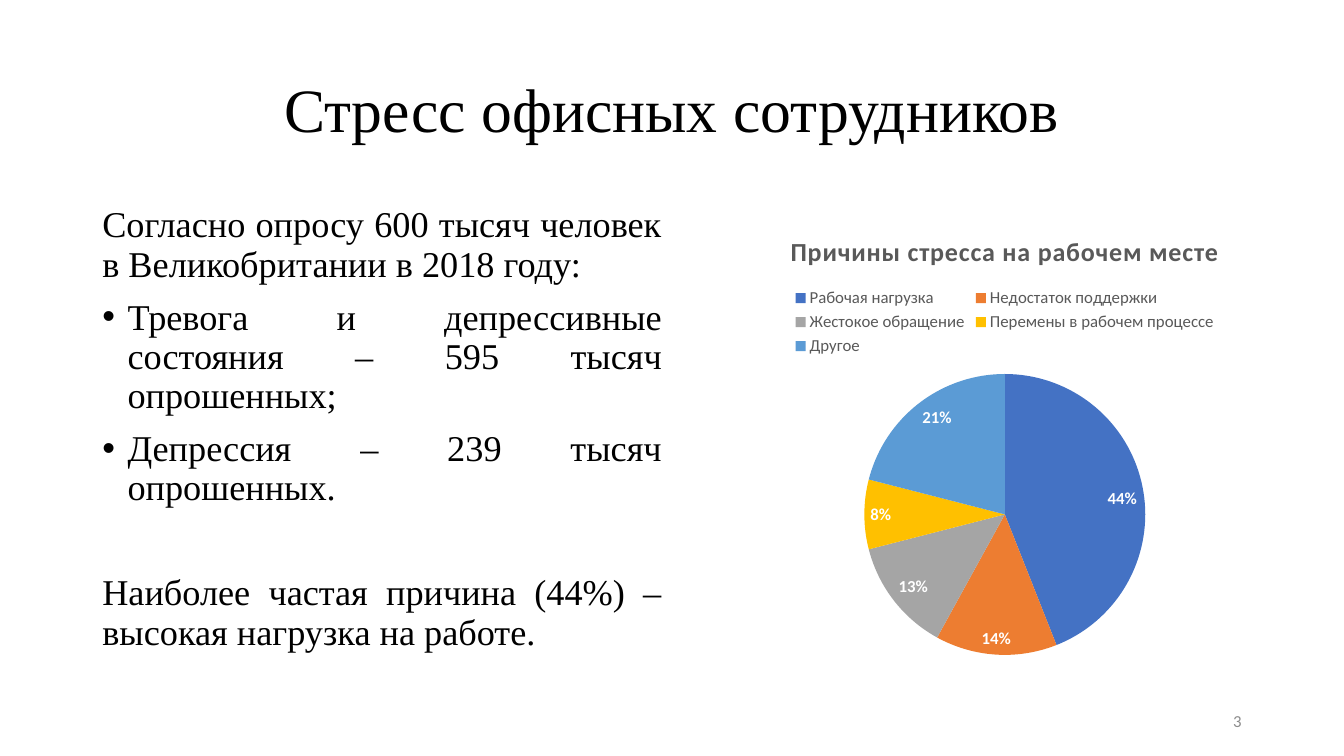
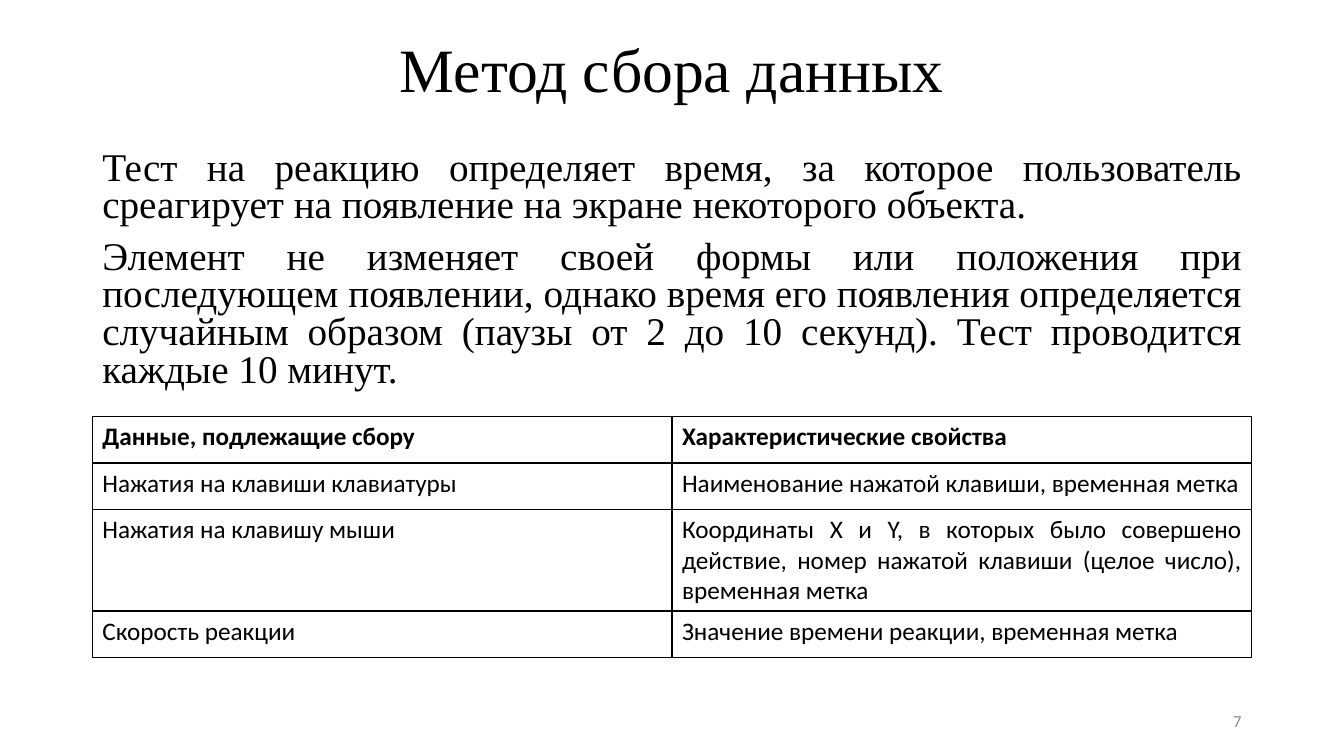
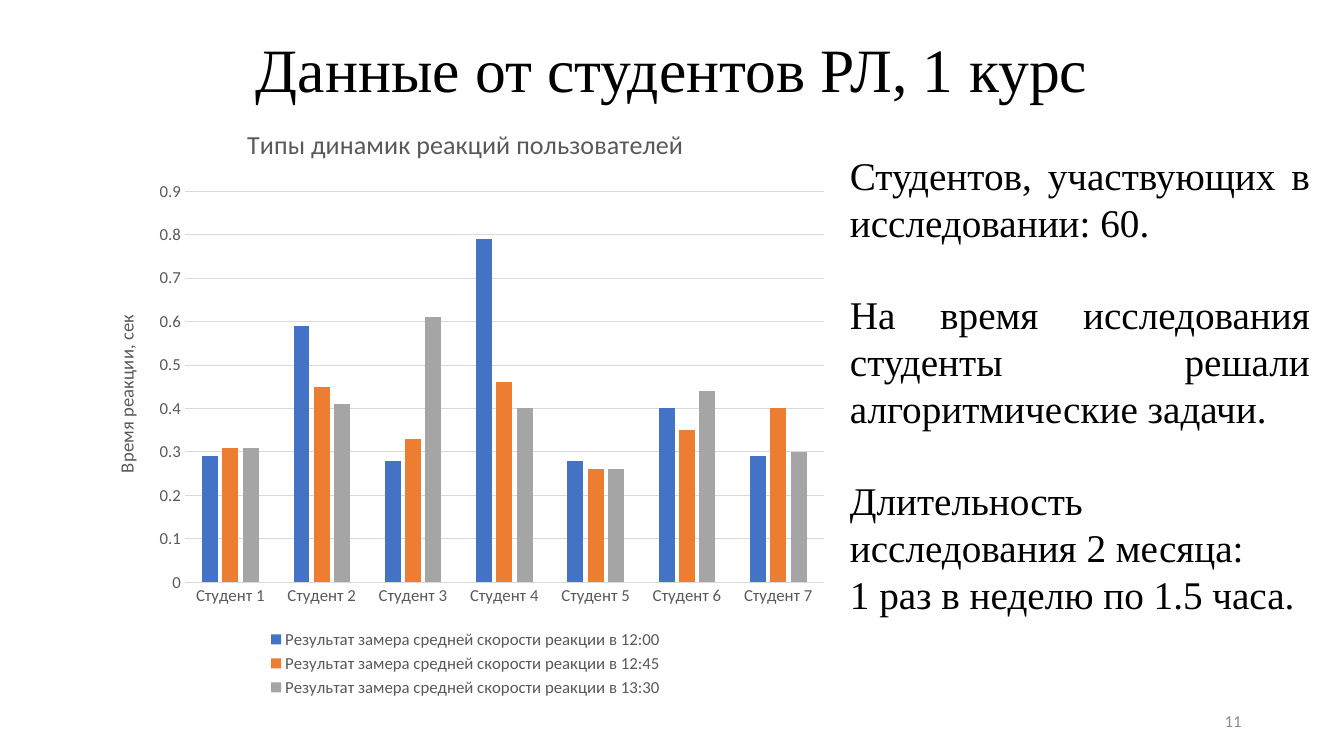
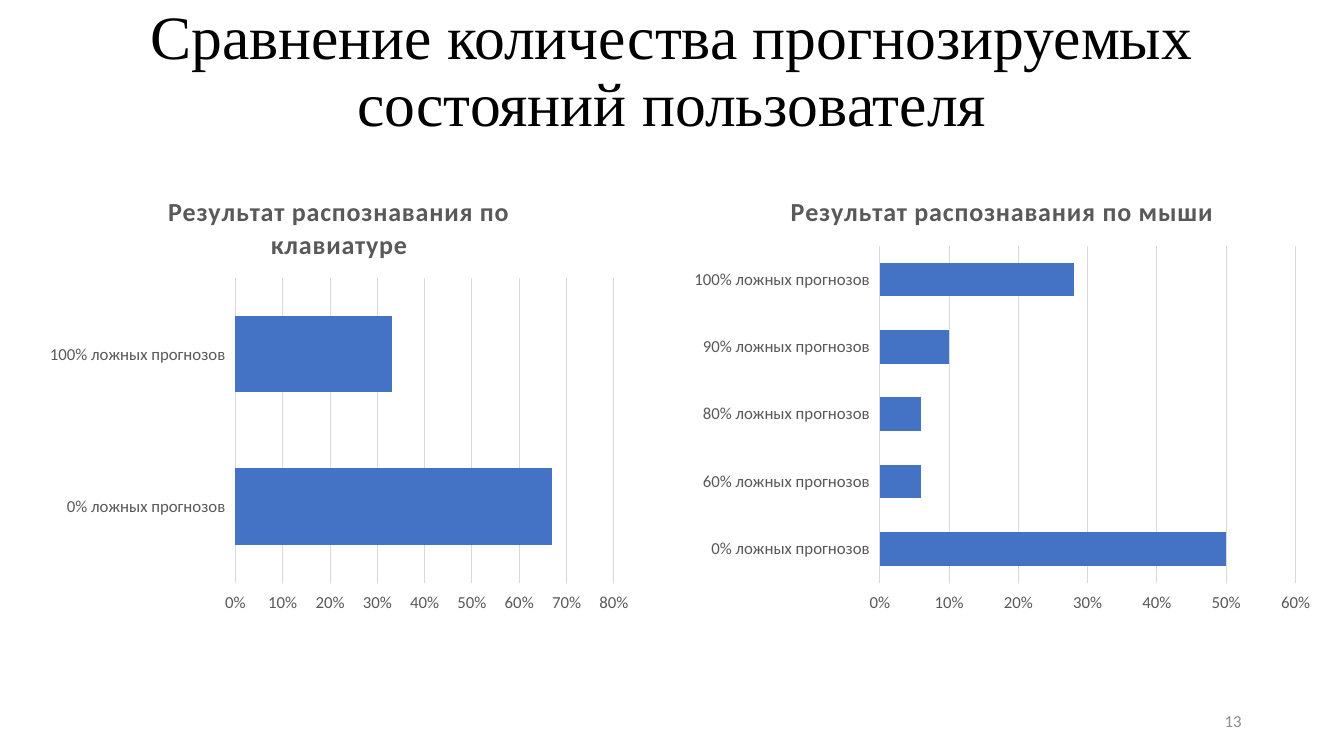
import pptx
import pptx.chart.data
import pptx.dml.color
import pptx.enum.chart
import pptx.enum.text
import pptx.oxml.ns
import pptx.util
from lxml import etree

RGBColor = pptx.dml.color.RGBColor
BLACK = RGBColor(0, 0, 0)
WHITE = RGBColor(255, 255, 255)
GREY = RGBColor(0x59, 0x59, 0x59)
NUMBER_GREY = RGBColor(0x8C, 0x8C, 0x8C)
GRID = RGBColor(0xD9, 0xD9, 0xD9)
BLUE = RGBColor(0x44, 0x72, 0xC4)
ORANGE = RGBColor(0xED, 0x7D, 0x31)
SILVER = RGBColor(0xA5, 0xA5, 0xA5)
YELLOW = RGBColor(0xFF, 0xC0, 0x00)
SKY = RGBColor(0x5B, 0x9B, 0xD5)
ACCENTS = [BLUE, ORANGE, SILVER, YELLOW, SKY]

SERIF = "Times New Roman"
SANS = "Calibri"
LABEL_SIZE = 12
CHART_TITLE_SIZE = 18.62
AXIS_TITLE_SIZE = 13.3
LEFT, WIDTH = 88, 1104

ALIGN = pptx.enum.text.PP_ALIGN
ANCHOR = pptx.enum.text.MSO_ANCHOR
CHART = pptx.enum.chart.XL_CHART_TYPE
LEGEND = pptx.enum.chart.XL_LEGEND_POSITION
TICK = pptx.enum.chart.XL_TICK_MARK
qn = pptx.oxml.ns.qn


def px(n):
    return pptx.util.Emu(n * 9525)


def pxs(box):
    return [px(n) for n in box]


def style_font(font, size, color, name=SANS, bold=False):
    font.name = name
    font.size = pptx.util.Pt(size)
    font.bold = bold
    font.color.rgb = color


def add_bullet(p, indent):
    pPr = p._p.get_or_add_pPr()
    pPr.set("marL", str(px(indent)))
    pPr.set("indent", str(-px(indent)))
    etree.SubElement(pPr, qn("a:buFont")).set("typeface", "Arial")
    etree.SubElement(pPr, qn("a:buChar")).set("char", "•")


def add_text(slide, box, paragraphs, size, color=BLACK, name=SERIF,
             align=ALIGN.JUSTIFY, anchor=ANCHOR.TOP, spacing=1.0, before=0,
             bullets=(), gaps=None):
    tf = slide.shapes.add_textbox(*pxs(box)).text_frame
    tf.word_wrap = True
    tf.vertical_anchor = anchor
    for i, text in enumerate(paragraphs):
        p = tf.paragraphs[0] if i == 0 else tf.add_paragraph()
        p.text = text
        p.alignment = align
        p.line_spacing = spacing
        p.space_before = pptx.util.Pt((gaps or {}).get(i, before))
        if i in bullets:
            add_bullet(p, 24)
        style_font(p.runs[0].font, size, color, name)


def add_page(prs, title, number, title_top=0):
    slide = prs.slides.add_slide(prs.slide_layouts[6])
    add_text(slide, (LEFT, title_top, WIDTH, 139), [title], 44,
             align=ALIGN.CENTER, anchor=ANCHOR.MIDDLE, spacing=0.9)
    add_text(slide, (904, 667, 288, 38), [str(number)], LABEL_SIZE, NUMBER_GREY, SANS,
             align=ALIGN.RIGHT, anchor=ANCHOR.MIDDLE)
    return slide


def set_title(title, text, size, bold=False):
    tf = title.text_frame
    tf.text = text
    r = tf.paragraphs[0].runs[0]
    style_font(r.font, size, GREY, bold=bold)
    if bold:
        r.font._element.set("spc", "50")


def add_chart(slide, box, kind, title, categories, series, bold_title=True,
              number_format="General", legend=None):
    data = pptx.chart.data.CategoryChartData(number_format=number_format)
    data.categories = categories
    for name, values in series:
        data.add_series(name, values)
    chart = slide.shapes.add_chart(kind, *pxs(box), data).chart
    style_font(chart.font, 10, BLACK)
    set_title(chart.chart_title, title, CHART_TITLE_SIZE, bold_title)
    chart.has_legend = legend is not None
    if legend is not None:
        chart.legend.position = legend
        chart.legend.include_in_layout = False
        style_font(chart.legend.font, LABEL_SIZE, GREY)
    return chart


def add_pie(slide, box, title, categories, values):
    chart = add_chart(slide, box, CHART.PIE, title, categories,
                      [("Series 1", values)], legend=LEGEND.TOP)
    plot = chart.plots[0]
    plot.vary_by_categories = True
    for i, color in enumerate(ACCENTS):
        fill = plot.series[0].points[i].format.fill
        fill.solid()
        fill.fore_color.rgb = color
    plot.has_data_labels = True
    labels = plot.data_labels
    labels.show_percentage = True
    labels.show_value = False
    labels.number_format = "0%"
    labels.number_format_is_linked = False
    labels.position = pptx.enum.chart.XL_LABEL_POSITION.INSIDE_END
    style_font(labels.font, LABEL_SIZE, WHITE, bold=True)


def add_bars(slide, box, kind, title, categories, series, gap, overlap=0,
             tick=TICK.OUTSIDE, axis_line=False, number_format="0%", **options):
    chart = add_chart(slide, box, kind, title, categories, series,
                      number_format=number_format, **options)
    plot = chart.plots[0]
    plot.vary_by_categories = False
    plot.gap_width = gap
    plot.overlap = overlap
    for ser, color in zip(plot.series, ACCENTS):
        ser.format.fill.solid()
        ser.format.fill.fore_color.rgb = color
        ser.invert_if_negative = False
    for axis in (chart.category_axis, chart.value_axis):
        axis.major_tick_mark = tick
        axis.minor_tick_mark = TICK.NONE
        axis.format.line.fill.background()
        style_font(axis.tick_labels.font, LABEL_SIZE, GREY)
    lines = [chart.value_axis.major_gridlines.format.line]
    if axis_line:
        lines.append(chart.category_axis.format.line)
    for line in lines:
        line.color.rgb = GRID
        line.width = pptx.util.Pt(0.75)
    chart.value_axis.tick_labels.number_format = number_format
    chart.value_axis.tick_labels.number_format_is_linked = False
    return chart


def set_borders(cell, widths):
    tcPr = cell._tc.get_or_add_tcPr()
    for i, (side, width) in enumerate(widths.items()):
        ln = etree.Element(qn("a:" + side), w=str(pptx.util.Pt(width)))
        fill = etree.SubElement(ln, qn("a:solidFill"))
        etree.SubElement(fill, qn("a:srgbClr")).set("val", str(BLACK))
        tcPr.insert(i, ln)


def add_table(slide, box, rows, heights):
    table = slide.shapes.add_table(len(rows), len(rows[0]), *pxs(box)).table
    for column in table.columns:
        column.width = px(box[2] // len(rows[0]))
    for i, (texts, height) in enumerate(zip(rows, heights)):
        table.rows[i].height = px(height)
        for j, text in enumerate(texts):
            cell = table.cell(i, j)
            cell.fill.background()
            p = cell.text_frame.paragraphs[0]
            p.text = text
            p.alignment = ALIGN.JUSTIFY
            style_font(p.runs[0].font, 18, BLACK, bold=i == 0)
            set_borders(cell, {"lnL": 1, "lnR": 1,
                               "lnT": 2 if i == 1 else 1,
                               "lnB": 2 if i == 0 else 1})


def build_stress(prs):
    slide = add_page(prs, "Стресс офисных сотрудников", 3, title_top=38)
    add_text(slide, (LEFT, 192, 552, 457), [
        "Согласно опросу 600 тысяч человек в Великобритании в 2018 году:",
        "Тревога и депрессивные состояния – 595 тысяч опрошенных;",
        "Депрессия – 239 тысяч опрошенных.",
        "Наиболее частая причина (44%) – высокая нагрузка на работе.",
    ], 25.9, spacing=0.9, before=10, bullets=(1, 2), gaps={3: 47})
    add_pie(slide, (640, 204, 634, 433), "Причины стресса на рабочем месте",
            ["Рабочая нагрузка", "Недостаток поддержки", "Жестокое обращение",
             "Перемены в рабочем процессе", "Другое"], [44, 14, 13, 8, 21])


def build_method(prs):
    slide = add_page(prs, "Метод сбора данных", 7)
    add_table(slide, (LEFT, 397, WIDTH, 229), [
        ("Данные, подлежащие сбору", "Характеристические свойства"),
        ("Нажатия на клавиши клавиатуры", "Наименование нажатой клавиши, временная метка"),
        ("Нажатия на клавишу мыши",
         "Координаты X и Y, в которых было совершено действие, "
         "номер нажатой клавиши (целое число), временная метка"),
        ("Скорость реакции", "Значение времени реакции, временная метка"),
    ], [44, 44, 97, 44])
    add_text(slide, (LEFT, 139, WIDTH, 258), [
        "Тест на реакцию определяет время, за которое пользователь "
        "среагирует на появление на экране некоторого объекта.",
        "Элемент не изменяет своей формы или положения при последующем появлении, "
        "однако время его появления определяется случайным образом "
        "(паузы от 2 до 10 секунд). Тест проводится каждые 10 минут.",
    ], 28, spacing=0.8, before=10)


def build_students(prs):
    slide = add_page(prs, "Данные от студентов РЛ, 1 курс", 11)
    measurements = {
        "12:00": [0.29, 0.59, 0.28, 0.79, 0.28, 0.4, 0.29],
        "12:45": [0.31, 0.45, 0.33, 0.46, 0.26, 0.35, 0.4],
        "13:30": [0.31, 0.41, 0.61, 0.4, 0.26, 0.44, 0.3],
    }
    chart = add_bars(
        slide, (LEFT, 99, 711, 569), CHART.COLUMN_CLUSTERED,
        "Типы динамик реакций пользователей",
        [f"Студент {n}" for n in range(1, 8)],
        [(f"Результат замера средней скорости реакции в {time}", values)
         for time, values in measurements.items()],
        gap=219, overlap=-27, tick=TICK.NONE, axis_line=True,
        number_format="General", bold_title=False, legend=LEGEND.BOTTOM)
    set_title(chart.value_axis.axis_title, "Время реакции, сек", AXIS_TITLE_SIZE)
    add_text(slide, (800, 139, 457, 462), [
        "Студентов, участвующих в исследовании: 60.",
        "На время исследования студенты решали алгоритмические задачи.",
        "Длительность исследования 2 месяца:",
        "1 раз в неделю по 1.5 часа.",
    ], 28, gaps={1: 32, 2: 32})


def build_comparison(prs):
    slide = add_page(prs, "Сравнение количества прогнозируемых состояний пользователя", 13)
    results = [
        ((36, 166, 574, 426), "клавиатуре", {0: 0.67, 100: 0.33}),
        ((649, 166, 611, 426), "мыши", {0: 0.5, 60: 0.06, 80: 0.06, 90: 0.1, 100: 0.28}),
    ]
    for box, device, shares in results:
        add_bars(slide, box, CHART.BAR_CLUSTERED, f"Результат распознавания по {device}",
                 [f"{percent}% ложных прогнозов" for percent in shares],
                 [("Series 1", list(shares.values()))], gap=100)


def main():
    prs = pptx.Presentation()
    prs.slide_width, prs.slide_height = px(1280), px(720)
    for build in (build_stress, build_method, build_students, build_comparison):
        build(prs)
    prs.save("out.pptx")


if __name__ == "__main__":
    main()
